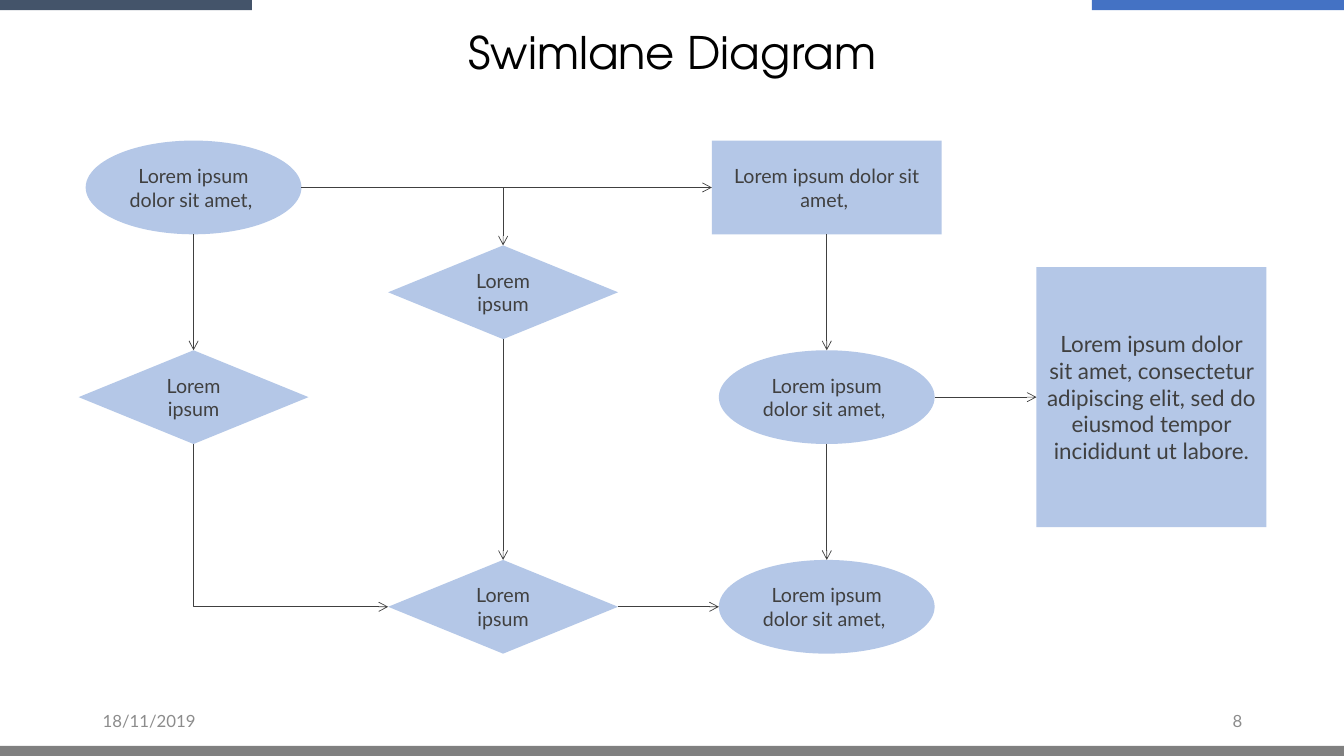
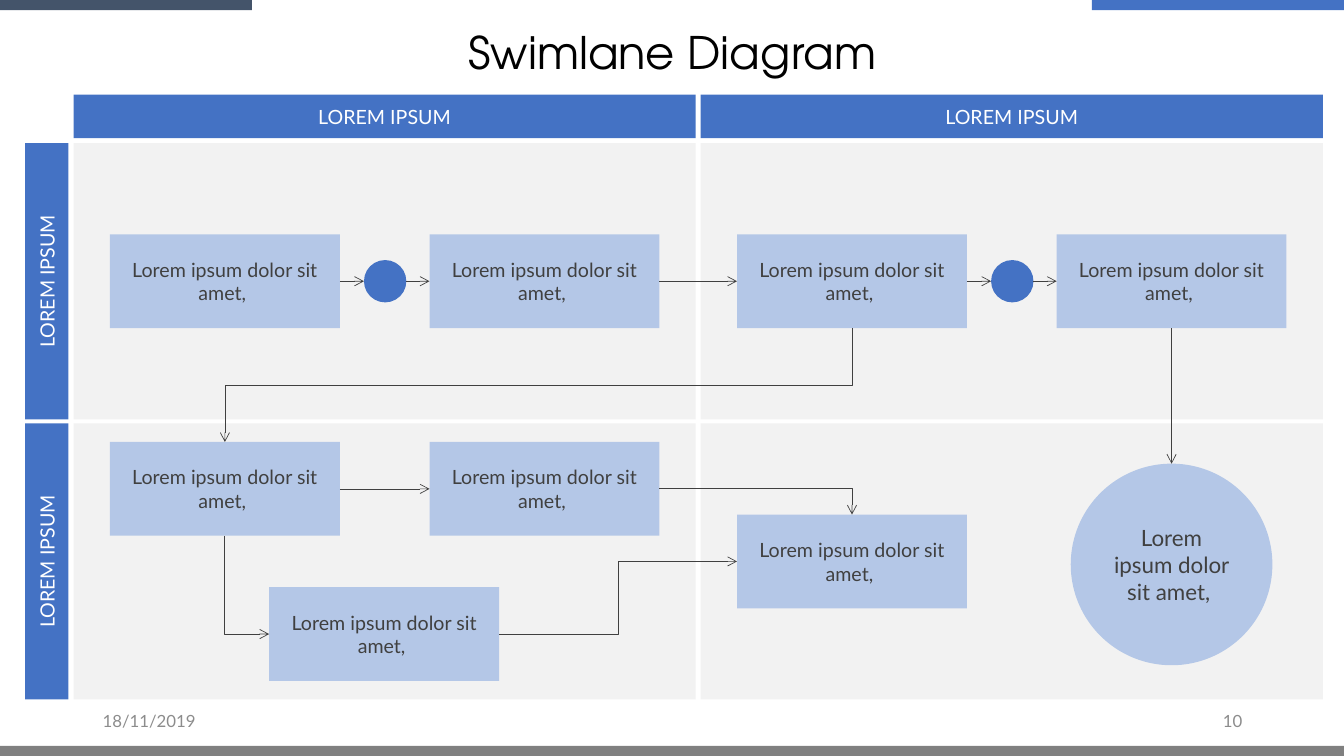
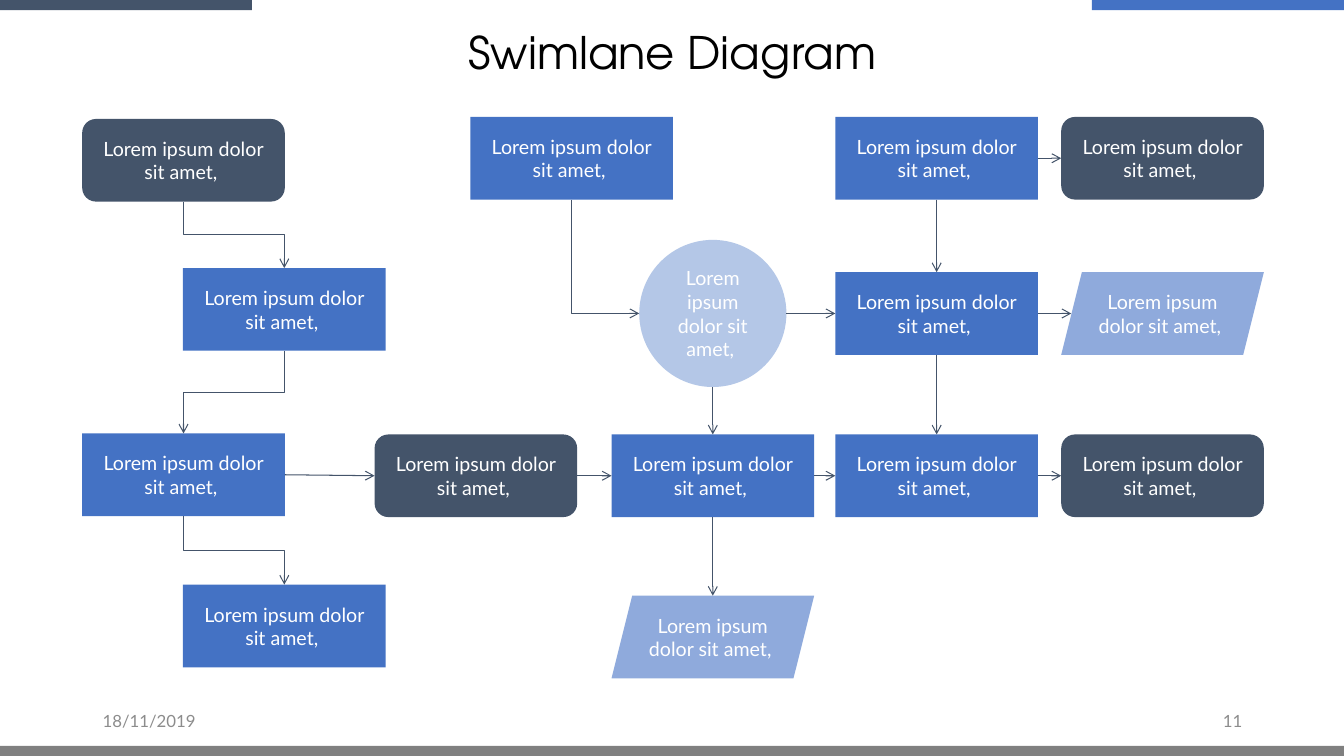
from lxml import etree
from pptx import Presentation
from pptx import util as u
from pptx.dml.color import RGBColor
from pptx.enum import shapes, text
from pptx.oxml.ns import qn

PX = 9144
WIDTH, HEIGHT = 1333, 750
BAND = 10
BODY_FONT, TITLE_FONT = "Lato", "TeX Gyre Adventor"
COLORS = {
    "blue": "4472C4", "slate": "44546A", "gray": "808080", "pale": "B4C7E7",
    "soft": "8FAADC", "lane": "F2F2F2", "ink": "404040", "white": "FFFFFF",
    "black": "000000", "footer": "8C8C8C",
}
TITLE, DATE, LANE_LABEL = "Swimlane Diagram", "18/11/2019", "LOREM IPSUM"
SHORT = "Lorem ipsum"
PHRASE = "Lorem ipsum dolor sit amet, "
LONG = ("Lorem ipsum dolor sit amet, consectetur adipiscing elit, "
        "sed do eiusmod tempor incididunt ut labore.")

KIND = shapes.MSO_SHAPE
STYLES = {
    "oval": (KIND.OVAL, 214, 93, "pale", "ink", 14, PHRASE),
    "decision": (KIND.FLOWCHART_DECISION, 228, 93, "pale", "ink", 14, SHORT),
    "box": (KIND.RECTANGLE, 228, 93, "pale", "ink", 14, PHRASE),
    "note": (KIND.RECTANGLE, 228, 258, "pale", "ink", 16, LONG),
    "dot": (KIND.OVAL, 42, 42, "blue", "white", 14, ""),
    "circle": (KIND.OVAL, 200, 200, "pale", "ink", 16, PHRASE),
    "step": (KIND.RECTANGLE, 201, 82, "blue", "white", 14, PHRASE),
    "terminal": (KIND.ROUNDED_RECTANGLE, 201, 82, "slate", "white", 14, PHRASE),
    "data": (KIND.PARALLELOGRAM, 201, 82, "soft", "white", 14, PHRASE),
    "hub": (KIND.OVAL, 146, 146, "pale", "white", 14, PHRASE),
}
SLANT = 10

FLOWS = [
    {
        "number": "8", "lanes": False, "line": ("ink", 0.5),
        "nodes": {
            "start": ("oval", 192, 186), "check": ("decision", 192, 394),
            "review": ("decision", 499, 290), "approve": ("decision", 499, 602),
            "task": ("box", 820, 186), "result": ("oval", 820, 394),
            "end": ("oval", 820, 602), "note": ("note", 1142, 394),
        },
        "links": [
            "start.right task.left", "start.bottom check.top",
            "check.bottom approve.left", "approve.right end.left",
            "result.bottom end.top", "task.bottom result.top",
            "review.bottom approve.top", "result.right note.left",
        ],
        "branches": [((499, 186), "review.top")],
    },
    {
        "number": "10", "lanes": True, "line": ("ink", 0.5),
        "nodes": {
            "first": ("box", 223, 279), "dot1": ("dot", 382, 279),
            "second": ("box", 540, 279), "third": ("box", 845, 279),
            "dot2": ("dot", 1004, 279), "fourth": ("box", 1162, 279),
            "fifth": ("box", 223, 485), "sixth": ("box", 540, 485),
            "seventh": ("box", 381, 629), "eighth": ("box", 845, 557),
            "goal": ("circle", 1162, 560),
        },
        "links": [
            "first.right dot1.left", "dot1.right second.left",
            "second.right third.left", "third.right dot2.left",
            "dot2.right fourth.left", "third.bottom fifth.top",
            "fifth.right sixth.left", "fifth.bottom seventh.left",
            "sixth.right eighth.top", "seventh.right eighth.left",
            "fourth.bottom goal.top",
        ],
        "branches": [],
    },
    {
        "number": "11", "lanes": False, "line": ("slate", 0.75),
        "nodes": {
            "start": ("terminal", 182, 159), "plan": ("step", 282, 307),
            "sort": ("step", 182, 471), "store": ("step", 282, 621),
            "pause": ("terminal", 472, 472), "request": ("step", 567, 157),
            "hub": ("hub", 707, 311), "merge": ("step", 707, 472),
            "report": ("data", 707, 632), "intake": ("step", 929, 157),
            "process": ("step", 929, 311), "finish": ("step", 929, 472),
            "stop": ("terminal", 1153, 157), "output": ("data", 1153, 311),
            "end": ("terminal", 1153, 472),
        },
        "links": [
            "start.bottom plan.top", "plan.bottom sort.top",
            "sort.bottom store.top", "sort.right pause.left",
            "pause.right merge.left", "merge.right finish.left",
            "finish.right end.left", "request.bottom hub.left",
            "hub.right process.left", "hub.bottom merge.top",
            "merge.bottom report.top", "intake.right stop.left",
            "intake.bottom process.top", "process.right output.left",
            "process.bottom finish.top",
        ],
        "branches": [],
    },
]


def px(value):
    return u.Emu(round(value * PX))


def rgb(name):
    return RGBColor.from_string(COLORS[name])


def write(shape, words, size, color, font=BODY_FONT, align=text.PP_ALIGN.CENTER):
    frame = shape.text_frame
    frame.word_wrap = True
    frame.vertical_anchor = text.MSO_ANCHOR.MIDDLE
    frame.text = words
    paragraph = frame.paragraphs[0]
    paragraph.alignment = align
    run = paragraph.runs[0]
    run.font.name = font
    run.font.size = u.Pt(size)
    run.font.color.rgb = rgb(color)
    return frame


def add_block(slide, kind, left, top, width, height, fill):
    shape = slide.shapes.add_shape(kind, px(left), px(top), px(width), px(height))
    shape.shadow.inherit = False
    shape.fill.solid()
    shape.fill.fore_color.rgb = rgb(fill)
    shape.line.fill.background()
    return shape


def add_text(slide, left, top, width, height, *style, **options):
    box = slide.shapes.add_textbox(px(left), px(top), px(width), px(height))
    return write(box, *style, **options)


def add_common(slide, number):
    frame = add_text(slide, 92, 27, 1150, 56, TITLE, 32, "black", font=TITLE_FONT)
    frame.margin_left = frame.margin_right = px(4)
    frame.margin_top = frame.margin_bottom = px(4)
    frame.vertical_anchor = text.MSO_ANCHOR.TOP
    frame.paragraphs[0].line_spacing = 0.9
    add_text(slide, 92, 695, 300, 40, DATE, 12, "footer", align=text.PP_ALIGN.LEFT)
    add_text(slide, 942, 695, 300, 40, number, 12, "footer", align=text.PP_ALIGN.RIGHT)
    for left, top, width, fill in [
        (WIDTH - 250, 0, 250, "blue"), (0, 0, 250, "slate"),
        (0, HEIGHT - BAND, WIDTH, "gray"),
    ]:
        add_block(slide, KIND.RECTANGLE, left, top, width, BAND, fill)


def add_lanes(slide):
    columns, rows = [73, 695], [142, 420]
    width, height, header = 617, 274, 43
    for top in rows:
        label = add_block(slide, KIND.RECTANGLE, 25, top, header, height, "blue")
        frame = write(label, LANE_LABEL, 14, "white")
        frame._txBody.find(qn("a:bodyPr")).set("vert", "vert270")
    for left in columns:
        label = add_block(slide, KIND.RECTANGLE, left, 94, width, header, "blue")
        write(label, LANE_LABEL, 14, "white")
        for top in rows:
            add_block(slide, KIND.RECTANGLE, left, top, width, height, "lane")


def add_node(slide, style, x, y):
    kind, width, height, fill, color, size, words = STYLES[style]
    shape = add_block(slide, kind, x - width / 2, y - height / 2, width, height, fill)
    if words:
        write(shape, words, size, color)


def anchor(nodes, place):
    name, side = place.split(".")
    style, x, y = nodes[name]
    width, height = STYLES[style][1:3]
    half = width / 2 - (SLANT if style == "data" else 0)
    dx, dy = {"left": (-half, 0), "right": (half, 0),
              "top": (0, -height / 2), "bottom": (0, height / 2)}[side]
    return (x + dx, y + dy), side in ("top", "bottom")


def add_link(slide, start, start_vertical, end, end_vertical, color, weight):
    (x1, y1), (x2, y2) = start, end
    straight = start_vertical == end_vertical and min(abs(x2 - x1), abs(y2 - y1)) < 3
    turned = start_vertical and not straight
    turn = 1 if x2 < x1 else -1
    if turned:
        cx, cy = (x1 + x2) / 2, (y1 + y2) / 2
        x1, y1, x2, y2 = (cx + turn * (y1 - cy), cy - turn * (x1 - cx),
                          cx + turn * (y2 - cy), cy - turn * (x2 - cx))
    kind = shapes.MSO_CONNECTOR.STRAIGHT if straight else shapes.MSO_CONNECTOR.ELBOW
    link = slide.shapes.add_connector(kind, px(x1), px(y1), px(x2), px(y2))
    link.line.color.rgb = rgb(color)
    link.line.width = u.Pt(weight)
    properties = link._element.spPr
    if turned:
        properties.find(qn("a:xfrm")).set("rot", str(turn * 5400000 % 21600000))
    if start_vertical != end_vertical:
        properties.find(qn("a:prstGeom")).set("prst", "bentConnector2")
    etree.SubElement(properties.find(qn("a:ln")), qn("a:tailEnd"), type="arrow")
    etree.SubElement(properties, qn("a:effectLst"))


def add_flow(presentation, flow):
    slide = presentation.slides.add_slide(presentation.slide_layouts[6])
    add_common(slide, flow["number"])
    if flow["lanes"]:
        add_lanes(slide)
    nodes = flow["nodes"]
    for node in nodes.values():
        add_node(slide, *node)
    for link in flow["links"]:
        start, end = link.split()
        add_link(slide, *anchor(nodes, start), *anchor(nodes, end), *flow["line"])
    for point, end in flow["branches"]:
        add_link(slide, point, True, *anchor(nodes, end), *flow["line"])


def main():
    presentation = Presentation()
    presentation.slide_width, presentation.slide_height = px(WIDTH), px(HEIGHT)
    for flow in FLOWS:
        add_flow(presentation, flow)
    presentation.save("out.pptx")


if __name__ == "__main__":
    main()
